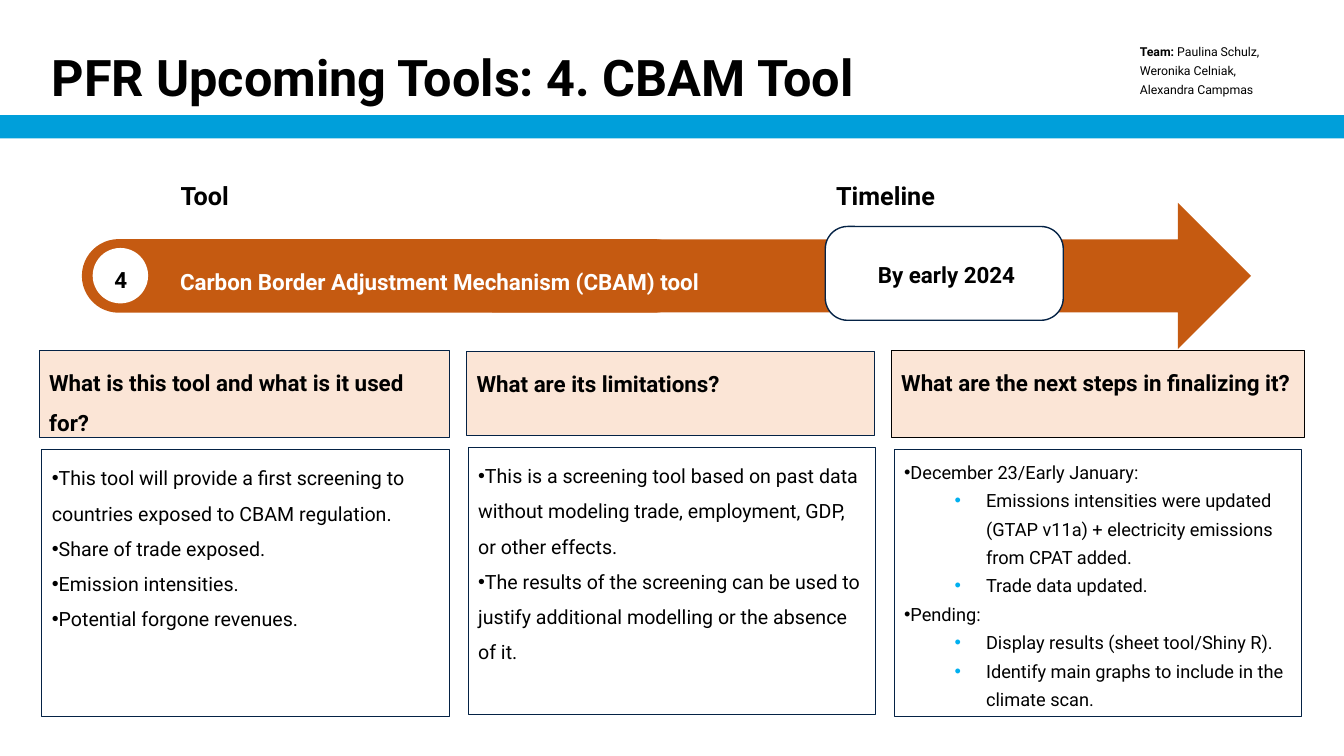
from dataclasses import dataclass

from lxml.etree import SubElement
from pptx import Presentation
from pptx.dml.color import RGBColor
from pptx.enum.shapes import MSO_SHAPE
from pptx.enum.text import MSO_ANCHOR, PP_ALIGN
from pptx.oxml.ns import qn
from pptx.util import Pt


@dataclass(frozen=True)
class Theme:
    face: str = "Roboto"
    black: str = "000000"
    white: str = "FFFFFF"
    band: str = "009FDA"
    rust: str = "C55A11"
    peach: str = "FBE5D6"
    navy: str = "042245"
    dot: str = "00B0F0"
    title: float = 36
    label: float = 18
    head: float = 16
    body: float = 14
    dense: float = 13
    note: float = 8.8


THEME = Theme()

# Columns: heading, heading box, heading line, body box, type size, line spacing, items
COLUMNS = [
    ("What is this tool and what is it used for?", (28.1, 250.6, 293, 62), THEME.navy,
     (30, 321.1, 291, 191), THEME.body, 1.5,
     [(0, "This tool will provide a first screening to countries exposed to CBAM regulation."),
      (0, "Share of trade exposed."),
      (0, "Emission intensities."),
      (0, "Potential forgone revenues.")]),
    ("What are its limitations?", (333.4, 251.3, 291.6, 59.8), THEME.navy,
     (334.5, 319.5, 291, 191), THEME.body, 1.5,
     [(0, "This is a screening tool based on past data without modeling trade, "
          "employment, GDP, or other effects."),
      (0, "The results of the screening can be used to justify additional modelling "
          "or the absence of it.")]),
    ("What are the next steps in finalizing it?", (636.7, 250.6, 295.2, 62), THEME.black,
     (638.8, 321.1, 291, 191), THEME.dense, 1.3,
     [(0, "December 23/Early January:"),
      (1, "Emissions intensities were updated (GTAP v11a) + electricity emissions "
          "from CPAT added."),
      (1, "Trade data updated."),
      (0, "Pending:"),
      (1, "Display results (sheet tool/Shiny R)."),
      (1, "Identify main graphs to include in the climate scan.")]),
]


def add_form(slide, kind, box, fill=None, line=None, width=0.75, curve=None):
    form = slide.shapes.add_shape(kind, *map(Pt, box))
    form.shadow.inherit = False
    if curve is not None:
        form.adjustments[0] = curve
    if fill:
        form.fill.solid()
        form.fill.fore_color.rgb = RGBColor.from_string(fill)
    else:
        form.fill.background()
    if line:
        form.line.color.rgb = RGBColor.from_string(line)
        form.line.width = Pt(width)
    else:
        form.line.fill.background()
    return form


def set_frame(form, anchor=MSO_ANCHOR.TOP, top=3.6):
    frame = form.text_frame
    values = {"word_wrap": True, "vertical_anchor": anchor,
              "margin_left": Pt(7.2), "margin_right": Pt(7.2),
              "margin_top": Pt(top), "margin_bottom": Pt(3.6)}
    for name, value in values.items():
        setattr(frame, name, value)
    return frame


def set_para(para, size, runs, space=1.5, align=PP_ALIGN.LEFT, color=THEME.black):
    for name, value in {"line_spacing": space, "alignment": align}.items():
        setattr(para, name, value)
    for text, bold in runs:
        run = para.add_run()
        run.text = text
        for name, value in {"name": THEME.face, "size": Pt(size), "bold": bold}.items():
            setattr(run.font, name, value)
        run.font.color.rgb = RGBColor.from_string(color)


def add_text(slide, box, size, runs, anchor=MSO_ANCHOR.TOP, top=3.6, **look):
    form = slide.shapes.add_textbox(*map(Pt, box))
    set_para(set_frame(form, anchor, top).paragraphs[0], size, runs, **look)


def set_dot(para, level):
    props = para._p.get_or_add_pPr()
    if level:
        props.set("lvl", str(level))
    props.set("marL", str(Pt(58.5 * level)))
    props.set("indent", str(Pt(-22.5 * level)))
    if level:
        tint = SubElement(props, qn("a:buClr"))
        SubElement(tint, qn("a:srgbClr")).set("val", THEME.dot)
    SubElement(props, qn("a:buFont")).set("typeface", "Arial")
    SubElement(props, qn("a:buChar")).set("char", "•")


def add_column(slide, head, top, edge, box, size, space, items):
    form = add_form(slide, MSO_SHAPE.RECTANGLE, top, THEME.peach, edge)
    set_para(set_frame(form).paragraphs[0], THEME.head, [(head, True)])

    frame = set_frame(add_form(slide, MSO_SHAPE.RECTANGLE, box, line=THEME.navy))
    for index, (level, text) in enumerate(items):
        para = frame.add_paragraph() if index else frame.paragraphs[0]
        set_dot(para, level)
        set_para(para, size, [(text, False)], space)


def main():
    deck = Presentation()
    deck.slide_width, deck.slide_height = Pt(960), Pt(540)
    slide = deck.slides.add_slide(deck.slide_layouts[6])

    # Title band and arrow
    add_form(slide, MSO_SHAPE.RECTANGLE, (0, 82.3, 961, 16.6), THEME.band)
    add_form(slide, MSO_SHAPE.ROUNDED_RECTANGLE, (58.5, 170.8, 435, 52.6), THEME.rust, curve=0.5)
    add_form(slide, MSO_SHAPE.RIGHT_ARROW, (351.6, 144.9, 542, 104.4), THEME.rust)
    add_form(slide, MSO_SHAPE.ROUNDED_RECTANGLE, (589.5, 161.8, 170, 67),
             THEME.white, THEME.navy, 1, 0.238)
    add_form(slide, MSO_SHAPE.OVAL, (66.2, 177.1, 39.6, 39.6), THEME.white)

    # Title and team
    add_text(slide, (29.8, 35.6, 898.6, 45.4), THEME.title,
             [("PFR Upcoming Tools: 4. CBAM Tool", True)], MSO_ANCHOR.MIDDLE, space=0.8)
    add_text(slide, (807.1, 28.2, 120, 54), THEME.note,
             [("Team: ", True),
              ("Paulina Schulz, Weronika Celniak, Alexandra Campmas", False)],
             top=0, space=1.3)

    # Arrow labels
    for left, text in [(121.9, "Tool"), (590.2, "Timeline")]:
        add_text(slide, (left, 114.5, 159, 43), THEME.label, [(text, True)])
    add_text(slide, (599.8, 159.8, 152.6, 63.4), THEME.head, [("By early 2024", True)],
             MSO_ANCHOR.MIDDLE, align=PP_ALIGN.CENTER)
    add_text(slide, (66.4, 176.8, 39.6, 39.6), THEME.head, [("4", True)],
             align=PP_ALIGN.CENTER)
    add_text(slide, (121.5, 178.6, 409.7, 37.4), THEME.head,
             [("Carbon Border Adjustment Mechanism (CBAM) tool", True)], color=THEME.white)

    # Question columns
    for column in COLUMNS:
        add_column(slide, *column)

    deck.save("out.pptx")


if __name__ == "__main__":
    main()
